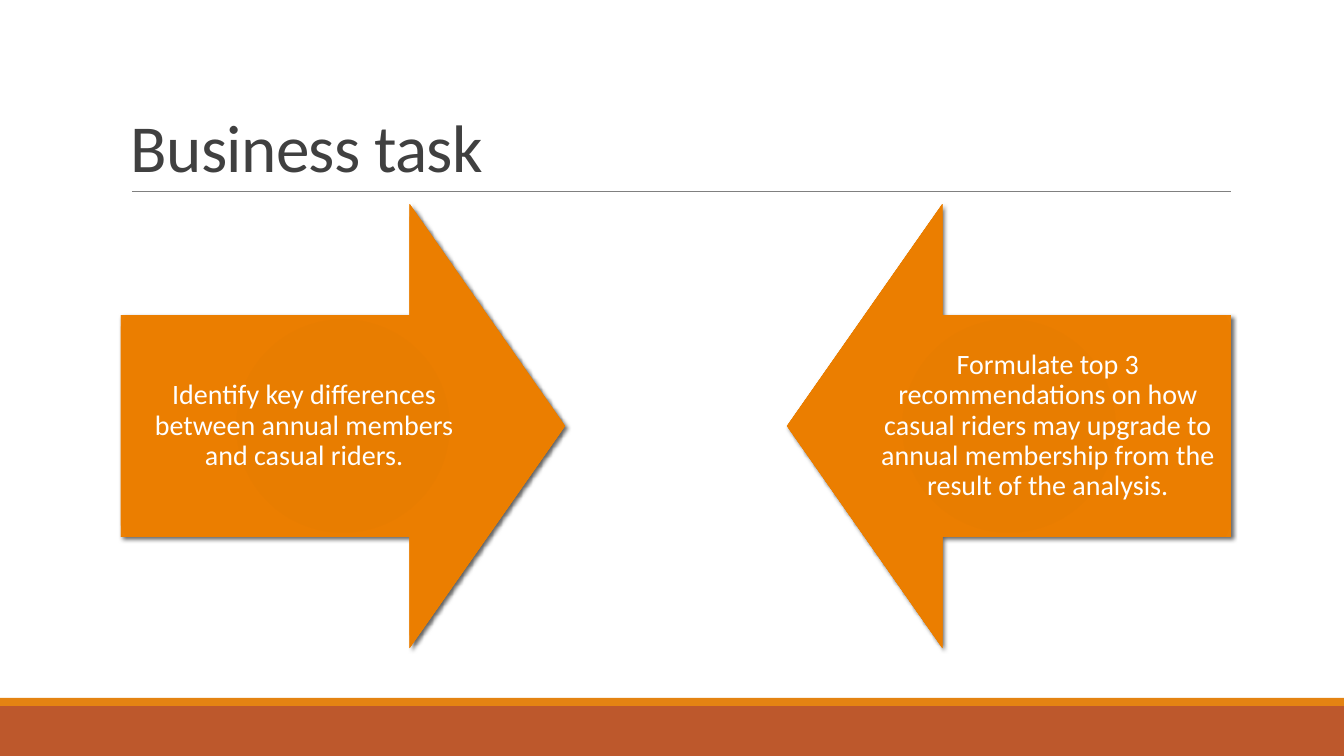
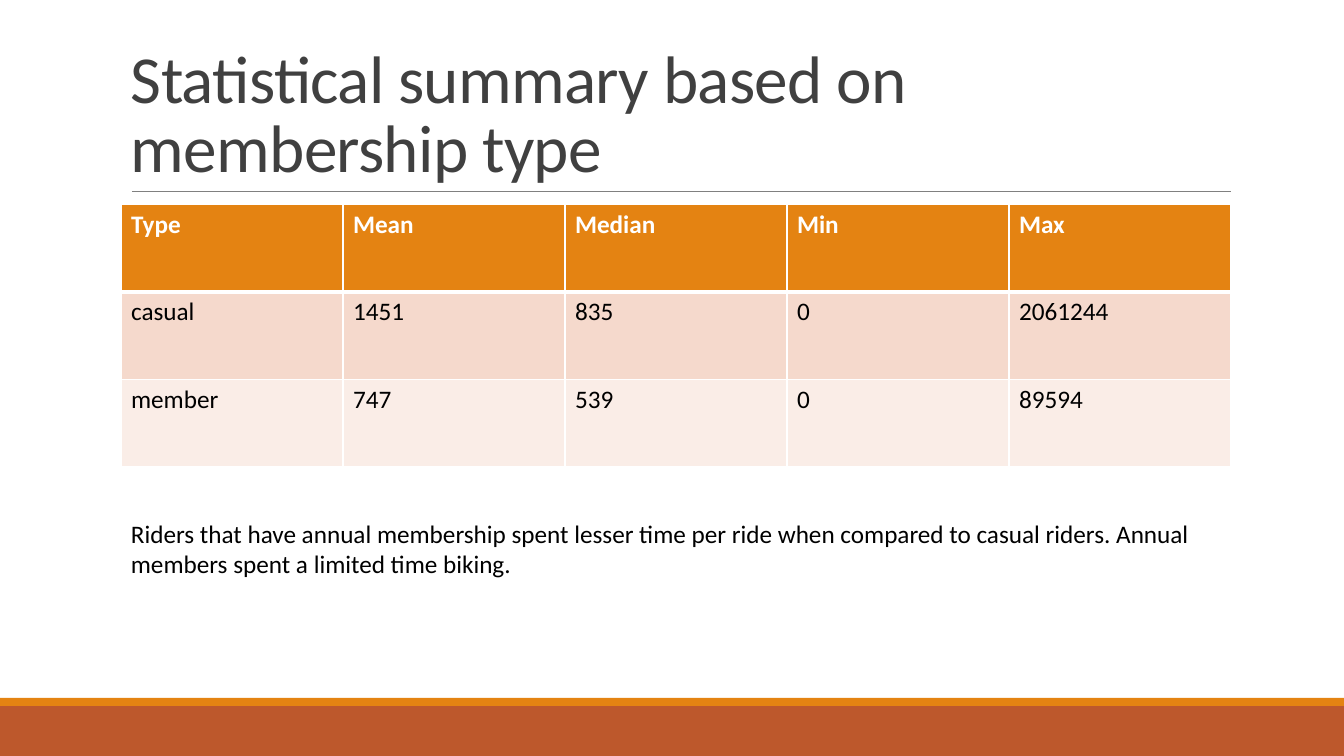
from lxml import etree
from pptx import Presentation, util as u
from pptx.dml.color import RGBColor
from pptx.enum import shapes, text
from pptx.oxml import parse_xml
from pptx.oxml.ns import nsdecls, qn

PX = 9072  # EMU in one px
WIDTH, HEIGHT = 1344 * PX, 756 * PX
LEFT, CONTENT_WIDTH = 121 * PX, 1110 * PX
CONTENT_TOP = 204 * PX

FONT = "Calibri"
ORANGE, RUST, RULE_GRAY = "E48312", "BD582C", "808080"
TITLE_GRAY, WHITE, BLACK = "404040", "FFFFFF", "000000"
ROW_FILLS = [ORANGE, "F5D9CC", "FAEDE7"]
ARROW_STOPS = [(0, "E57B00"), (34, "E87D00"), (70, "EB7E00"), (100, "EF8407")]


def rgb(hex_color):
    return RGBColor.from_string(hex_color)


def write(frame, content, size=18, color=BLACK, bold=False, align=None,
          anchor=None, line_spacing=None, tracking=None, inset=None):
    """Fill a text frame with one paragraph; tracking is in hundredths of a point."""
    frame.word_wrap = True
    if anchor is not None:
        frame.vertical_anchor = anchor
    if inset is not None:
        frame.margin_left = frame.margin_right = inset
        frame.margin_top = frame.margin_bottom = inset
    paragraph = frame.paragraphs[0]
    paragraph.alignment = align
    paragraph.line_spacing = line_spacing
    run = paragraph.add_run()
    run.text = content
    run.font.name = FONT
    run.font.size = u.Pt(size)
    run.font.bold = bold
    run.font.color.rgb = rgb(color)
    if tracking is not None:
        run.font._element.set("spc", str(tracking))


presentation = Presentation()
presentation.slide_width, presentation.slide_height = WIDTH, HEIGHT

# Shared frame: bands, rule and title
titles = ["Business task", "Statistical summary based on membership type"]
slides = []
for title in titles:
    slide = presentation.slides.add_slide(presentation.slide_layouts[6])
    slides.append(slide)
    for top, height, color in [(706, 50, RUST), (698, 8, ORANGE)]:
        band = slide.shapes.add_shape(
            shapes.MSO_SHAPE.RECTANGLE, 0, top * PX, WIDTH, height * PX)
        band.shadow.inherit = False
        band.fill.solid()
        band.fill.fore_color.rgb = rgb(color)
        band.line.fill.background()
    rule = slide.shapes.add_connector(
        shapes.MSO_CONNECTOR.STRAIGHT, 132 * PX, 191 * PX, 1231 * PX, 191 * PX)
    rule.line.color.rgb = rgb(RULE_GRAY)
    rule.line.width = u.Pt(0.5)
    etree.SubElement(rule._element.spPr, qn("a:effectLst"))
    title_box = slide.shapes.add_textbox(LEFT, 31 * PX, CONTENT_WIDTH, 160 * PX)
    write(title_box.text_frame, title, size=48, color=TITLE_GRAY, tracking=-50,
          anchor=text.MSO_ANCHOR.BOTTOM, line_spacing=0.85)

task_slide, summary_slide = slides

# Business task: two arrows facing each other
ARROW_SIZE = 444 * PX
arrows = [
    (shapes.MSO_SHAPE.RIGHT_ARROW, LEFT,
     "Identify key differences between annual members and casual riders."),
    (shapes.MSO_SHAPE.LEFT_ARROW, LEFT + CONTENT_WIDTH - ARROW_SIZE,
     "Formulate top 3 recommendations on how casual riders may upgrade to "
     "annual membership from the result of the analysis."),
]
stops = "".join(
    f'<a:gs pos="{position * 1000}"><a:srgbClr val="{color}"/></a:gs>'
    for position, color in ARROW_STOPS)
gradient_xml = (
    f'<a:gradFill {nsdecls("a")} rotWithShape="1"><a:gsLst>{stops}</a:gsLst>'
    '<a:path path="circle"><a:fillToRect l="100000" t="100000" r="100000" b="100000"/>'
    '</a:path></a:gradFill>')
shadow_xml = (
    f'<a:outerShdw {nsdecls("a")} blurRad="{u.Pt(3)}" dist="{u.Pt(2)}" dir="2700000" '
    f'rotWithShape="0"><a:srgbClr val="{BLACK}"><a:alpha val="60000"/></a:srgbClr>'
    '</a:outerShdw>')
for kind, left, task in arrows:
    arrow = task_slide.shapes.add_shape(kind, left, CONTENT_TOP, ARROW_SIZE, ARROW_SIZE)
    arrow.adjustments[0], arrow.adjustments[1] = 0.5, 0.35
    arrow.line.fill.background()
    arrow.shadow.inherit = False
    properties = arrow._element.spPr
    properties.find(qn("a:prstGeom")).addnext(parse_xml(gradient_xml))
    properties.find(qn("a:effectLst")).append(parse_xml(shadow_xml))
    write(arrow.text_frame, task, size=20, color=WHITE, line_spacing=0.9,
          align=text.PP_ALIGN.CENTER, anchor=text.MSO_ANCHOR.MIDDLE, inset=16 * PX)

# Statistical summary: table and finding
rows = [
    ["Type", "Mean", "Median", "Min", "Max"],
    ["casual", "1451", "835", "0", "2061244"],
    ["member", "747", "539", "0", "89594"],
]
table = summary_slide.shapes.add_table(
    len(rows), len(rows[0]), LEFT, CONTENT_TOP, CONTENT_WIDTH, 263 * PX).table
for row_index, (row, fill) in enumerate(zip(rows, ROW_FILLS)):
    is_header = row_index == 0
    for column_index, value in enumerate(row):
        cell = table.cell(row_index, column_index)
        cell.fill.solid()
        cell.fill.fore_color.rgb = rgb(fill)
        write(cell.text_frame, value, color=WHITE if is_header else BLACK, bold=is_header)
        cell_properties = cell._tc.get_or_add_tcPr()
        bottom_width = 3 if is_header else 1
        borders = [("lnL", 1), ("lnR", 1), ("lnT", 3 if row_index == 1 else 1),
                   ("lnB", bottom_width)]
        for position, (side, width) in enumerate(borders):
            cell_properties.insert(position, parse_xml(
                f'<a:{side} {nsdecls("a")} w="{u.Pt(width)}"><a:solidFill>'
                f'<a:srgbClr val="{WHITE}"/></a:solidFill></a:{side}>'))

finding = summary_slide.shapes.add_textbox(LEFT, 513 * PX, CONTENT_WIDTH, 72 * PX)
write(finding.text_frame,
      "Riders that have annual membership spent lesser time per ride when compared to "
      "casual riders. Annual members spent a limited time biking.")
finding.text_frame.auto_size = text.MSO_AUTO_SIZE.SHAPE_TO_FIT_TEXT

presentation.save("out.pptx")
